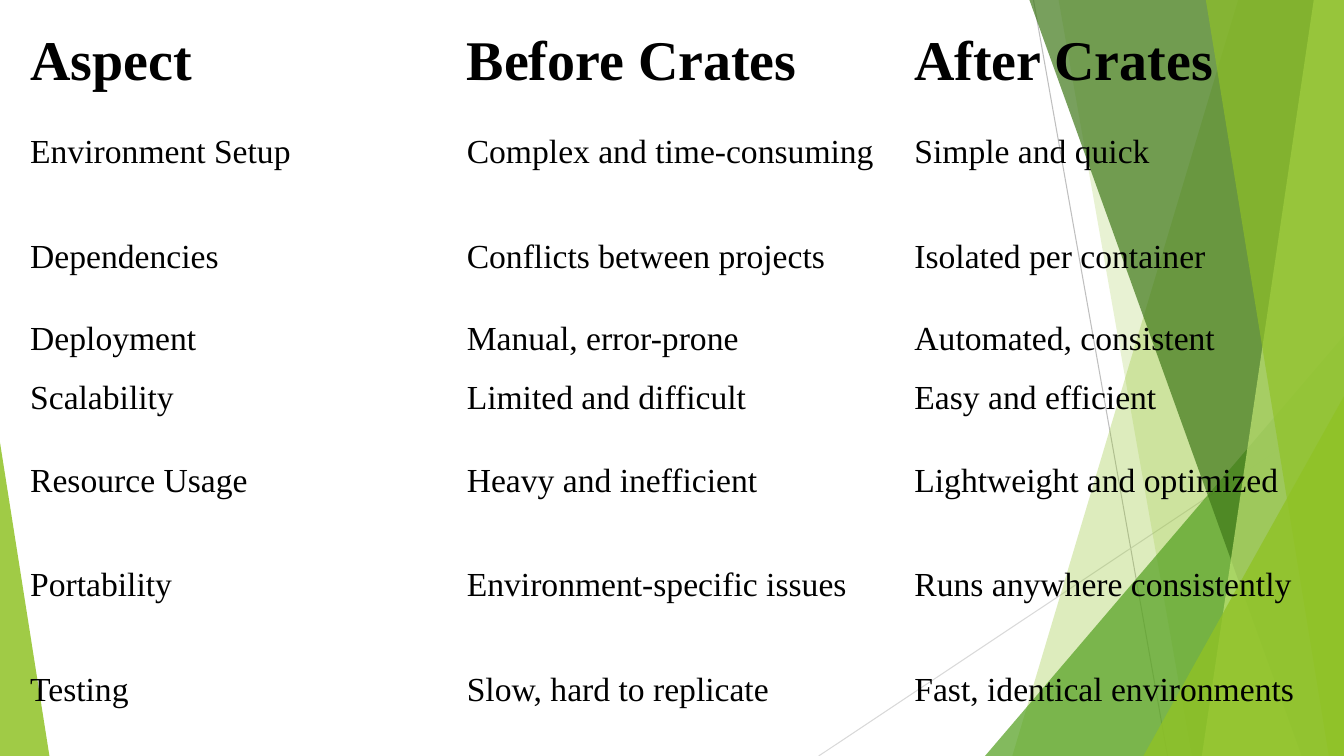
from lxml import etree
from pptx import Presentation
from pptx.dml.color import RGBColor
from pptx.enum.shapes import MSO_CONNECTOR, MSO_SHAPE
from pptx.enum.text import MSO_ANCHOR
from pptx.oxml.ns import qn
from pptx.util import Inches, Pt

STRAIGHT = MSO_CONNECTOR.STRAIGHT
TRIANGLE = MSO_SHAPE.ISOSCELES_TRIANGLE
MIDDLE = MSO_ANCHOR.MIDDLE

WIDTH, HEIGHT = 13.33, 7.5
FONT = "Times New Roman"
NO_GRID_STYLE = "{2D5ABB26-0587-4C30-8999-92F81FD0307C}"

BLACK = RGBColor(0x00, 0x00, 0x00)
GREY = RGBColor(0xBF, 0xBF, 0xBF)
LIGHT_GREY = RGBColor(0xD9, 0xD9, 0xD9)
LIME = RGBColor(0x90, 0xC2, 0x26)
PALE_LIME = RGBColor(0xC0, 0xE4, 0x74)
GREEN = RGBColor(0x54, 0xA0, 0x21)
DARK_GREEN = RGBColor(0x3F, 0x78, 0x19)

COLUMN_WIDTHS = [4.33, 4.44, 4.21]
TALL, SHORT = 1.04, 0.59
ROWS = [
    (0.76, "Aspect", "Before Crates", "After Crates"),
    (TALL, "Environment Setup", "Complex and time-consuming", "Simple and quick"),
    (TALL, "Dependencies", "Conflicts between projects", "Isolated per container"),
    (SHORT, "Deployment", "Manual, error-prone", "Automated, consistent"),
    (SHORT, "Scalability", "Limited and difficult", "Easy and efficient"),
    (TALL, "Resource Usage", "Heavy and inefficient", "Lightweight and optimized"),
    (TALL, "Portability", "Environment-specific issues", "Runs anywhere consistently"),
    (TALL, "Testing", "Slow, hard to replicate", "Fast, identical environments"),
]


def paint(shape, color, opacity):
    """Fill a shape with a see-through colour, without outline or shadow."""
    shape.shadow.inherit = False
    shape.line.fill.background()
    shape.fill.solid()
    shape.fill.fore_color.rgb = color
    tint = next(shape.element.spPr.iter(qn("a:srgbClr")))
    etree.SubElement(tint, qn("a:alpha")).set("val", str(opacity * 1000))


def add_ray(page, start, end, color):
    ray = page.shapes.add_connector(STRAIGHT, *map(Inches, start + end))
    ray.line.color.rgb = color
    ray.line.width = Pt(0.75)
    etree.SubElement(ray.element.spPr, qn("a:effectLst"))


def add_panel(page, top_x, bottom_x, color, opacity):
    """Fill everything between a slanted left edge and the slide's right edge."""
    corners = [(WIDTH, 0), (WIDTH, HEIGHT), (bottom_x, HEIGHT)]
    builder = page.shapes.build_freeform(Inches(top_x), 0)
    builder.add_line_segments([(Inches(x), Inches(y)) for x, y in corners])
    paint(builder.convert_to_shape(), color, opacity)


def add_corner(page, left, top, width, apex, color, opacity):
    """Stand a right triangle on the bottom edge, with its apex at a share of its width."""
    corner = page.shapes.add_shape(
        TRIANGLE, *map(Inches, (left, top, width, HEIGHT - top)))
    corner.adjustments[0] = apex
    paint(corner, color, opacity)


def add_facets(page):
    add_ray(page, (10.25, 0), (11.58, HEIGHT), GREY)
    add_ray(page, (WIDTH, 4.03), (8.12, HEIGHT), LIGHT_GREY)
    add_panel(page, 12.28, 10.04, LIME, 30)
    add_panel(page, 10.5, 11.82, LIME, 20)
    add_corner(page, 9.77, 3.33, WIDTH - 9.77, 1, GREEN, 72)
    add_panel(page, 10.21, 12.91, DARK_GREEN, 70)
    add_panel(page, 13.03, 11.92, PALE_LIME, 70)
    add_panel(page, 11.96, 13.18, LIME, 65)
    add_corner(page, 11.34, 3.93, WIDTH - 11.34, 1, LIME, 80)
    add_corner(page, 0, 4.39, 0.49, 0, LIME, 85)


def write(cell, text, size=24, bold=False, color=BLACK):
    cell.fill.background()
    cell.vertical_anchor = MIDDLE
    cell.margin_left = cell.margin_right = Inches(0.09)
    span = cell.text_frame.paragraphs[0].add_run()
    span.text = text
    span.font.name = FONT
    span.font.size = Pt(size)
    span.font.bold = bold
    span.font.color.rgb = color


def add_comparison(page, left, top):
    width, height = sum(COLUMN_WIDTHS), sum(row[0] for row in ROWS)
    frame = page.shapes.add_table(
        len(ROWS), len(COLUMN_WIDTHS), *map(Inches, (left, top, width, height)))
    next(frame.element.iter(qn("a:tableStyleId"))).text = NO_GRID_STYLE
    table = frame.table
    table.first_row = table.horz_banding = False
    for column, column_width in zip(table.columns, COLUMN_WIDTHS):
        column.width = Inches(column_width)
    for index, (row_height, *texts) in enumerate(ROWS):
        row = table.rows[index]
        row.height = Inches(row_height)
        is_header = index == 0
        for cell, text in zip(row.cells, texts):
            write(cell, text, size=40 if is_header else 24, bold=is_header)


def main():
    deck = Presentation()
    deck.slide_width, deck.slide_height = Inches(WIDTH), Inches(HEIGHT)
    page = deck.slides.add_slide(deck.slide_layouts[6])
    add_facets(page)
    add_comparison(page, 0.21, 0.23)
    deck.save("out.pptx")


if __name__ == "__main__":
    main()
